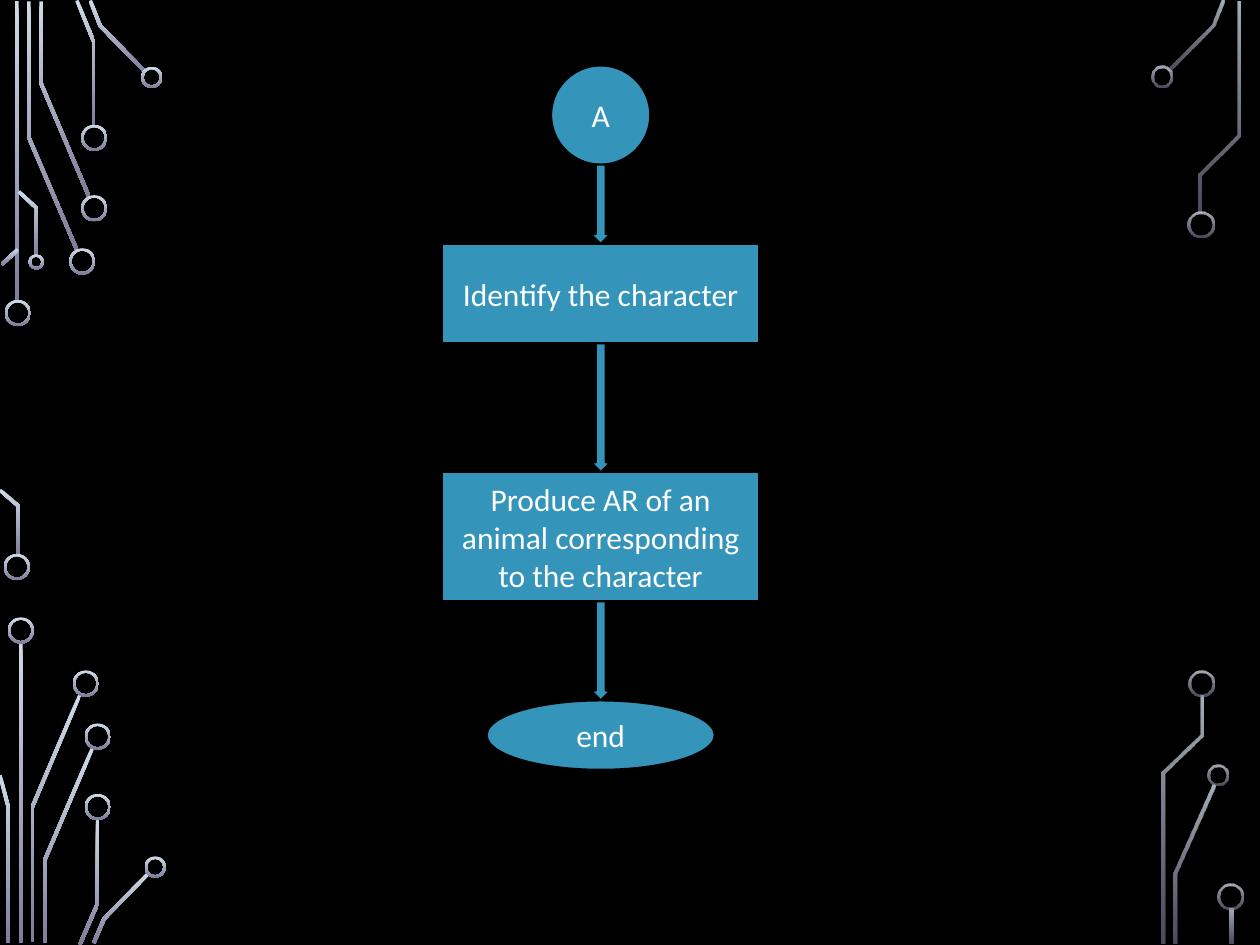
from dataclasses import dataclass
from math import hypot

from lxml.etree import SubElement
from pptx import Presentation
from pptx.dml.color import RGBColor
from pptx.enum.shapes import MSO_SHAPE
from pptx.enum.text import PP_ALIGN
from pptx.oxml.ns import qn
from pptx.util import Cm, Pt


@dataclass(frozen=True)
class Theme:
    background: RGBColor = RGBColor(0x00, 0x00, 0x00)
    accent: RGBColor = RGBColor(0x34, 0x94, 0xBA)
    text: RGBColor = RGBColor(0xFF, 0xFF, 0xFF)
    circuit: tuple = (RGBColor(0xCE, 0xDB, 0xE6), RGBColor(0x7F, 0x7B, 0x9A))
    font: str = "Calibri"
    text_size: Pt = Pt(18)
    outline: Pt = Pt(1.25)


theme = Theme()
TRACE_WIDTH = 0.07
RING_WIDTH = 0.05
LARGE, MEDIUM, SMALL = 0.53, 0.43, 0.31


def paint_circuit(shape, opacities):
    shape.shadow.inherit = False
    shape.line.fill.background()
    shape.fill.gradient()
    shape.fill.gradient_angle = 270
    for stop, color in zip(shape.fill.gradient_stops, theme.circuit):
        stop.color.rgb = color
    for color, opacity in zip(shape._element.spPr.iter(qn("a:srgbClr")), opacities):
        if opacity < 100:
            SubElement(color, qn("a:alpha"), val=str(opacity * 1000))


def trace_outline(points, width):
    normals = []
    for (x1, y1), (x2, y2) in zip(points, points[1:]):
        length = hypot(x2 - x1, y2 - y1)
        normals.append(((y1 - y2) / length, (x2 - x1) / length))
    left, right = [], []
    for (x, y), (ax, ay), (bx, by) in zip(points, normals[:1] + normals, normals + normals[-1:]):
        factor = width / 2 / (1 + ax * bx + ay * by)
        dx, dy = (ax + bx) * factor, (ay + by) * factor
        left.append((x + dx, y + dy))
        right.append((x - dx, y - dy))
    return [(x * 1000, y * 1000) for x, y in left + right[::-1]]


left_traces = [
    [(0.34, 0.03), (0.34, 6.1)],
    [(0.58, 0.03), (0.58, 2.77), (1.55, 5.04)],
    [(0.83, 0.03), (0.83, 1.69), (1.8, 3.98)],
    [(1.55, 0.01), (1.89, 0.84), (1.89, 2.54)],
    [(1.82, 0.01), (2.02, 0.52), (2.93, 1.45)],
    [(0.04, 5.33), (0.36, 5.03)],
    [(0, 9.88), (0.36, 10.19), (0.36, 11.2)],
    [(0.38, 3.86), (0.74, 4.2), (0.74, 5.16)],
    [(0.42, 12.95), (0.42, 19.02)],
    [(0.65, 19), (0.65, 16.27), (1.61, 14.01)],
    [(0.17, 19), (0.17, 16.28), (0, 15.63)],
    [(0.9, 19.02), (0.9, 17.34), (1.87, 15.07)],
    [(1.61, 19.04), (1.97, 18.21), (1.97, 16.51)],
    [(1.89, 19.01), (2.1, 18.52), (3, 17.6)],
]
left_rings = [
    (0.36, 6.31, LARGE), (0.34, 11.43, LARGE), (1.66, 5.27, LARGE),
    (1.9, 4.2, LARGE), (1.9, 2.78, LARGE), (3.06, 1.56, MEDIUM),
    (0.73, 5.28, SMALL), (0.42, 12.71, LARGE), (1.73, 13.78, LARGE),
    (1.97, 14.85, LARGE), (1.97, 16.27, LARGE), (3.13, 17.48, MEDIUM),
]
right_traces = [
    [(23.56, 1.41), (24.46, 0.51), (24.66, 0.01)],
    [(23.7, 19.02), (23.7, 17.61), (24.46, 15.84)],
    [(24.19, 4.29), (24.19, 3.52), (24.98, 2.73), (24.98, 0.03)],
    [(23.46, 19.02), (23.46, 15.58), (24.22, 14.82), (24.22, 14.02)],
    [(24.83, 18.31), (24.83, 19.02)],
]
right_rings = [
    (23.42, 1.54, MEDIUM), (24.21, 4.53, LARGE), (24.55, 15.63, MEDIUM),
    (24.22, 13.78, LARGE), (24.81, 18.08, LARGE),
]

presentation = Presentation()
presentation.slide_width = Cm(25.4)
presentation.slide_height = Cm(19.05)
slide = presentation.slides.add_slide(presentation.slide_layouts[6])
slide.background.fill.solid()
slide.background.fill.fore_color.rgb = theme.background

for traces, rings, opacities in (
    (left_traces, left_rings, (100, 100)),
    (right_traces, right_rings, (80, 60)),
):
    for points in traces:
        outline = trace_outline(points, TRACE_WIDTH)
        builder = slide.shapes.build_freeform(*outline[0], scale=Cm(0.001))
        builder.add_line_segments(outline[1:], close=True)
        paint_circuit(builder.convert_to_shape(), opacities)
    for x, y, diameter in rings:
        ring = slide.shapes.add_shape(
            MSO_SHAPE.DONUT, Cm(x - diameter / 2), Cm(y - diameter / 2), Cm(diameter), Cm(diameter)
        )
        ring.adjustments[0] = RING_WIDTH / diameter
        paint_circuit(ring, opacities)

FLOW_CENTER = 12.11
flow_steps = [
    (MSO_SHAPE.FLOWCHART_CONNECTOR, 1.32, 2, 2, "A"),
    (MSO_SHAPE.DOWN_ARROW, 3.32, 0.4, 1.6, ""),
    (MSO_SHAPE.FLOWCHART_PROCESS, 4.92, 6.4, 2, "Identify the character"),
    (MSO_SHAPE.DOWN_ARROW, 6.92, 0.4, 2.6, ""),
    (MSO_SHAPE.FLOWCHART_PROCESS, 9.52, 6.4, 2.6,
     "Produce AR of an animal corresponding to the character"),
    (MSO_SHAPE.DOWN_ARROW, 12.12, 0.4, 2, ""),
    (MSO_SHAPE.OVAL, 14.12, 4.6, 1.4, "end"),
]
for kind, top, width, height, text in flow_steps:
    step = slide.shapes.add_shape(kind, Cm(FLOW_CENTER - width / 2), Cm(top), Cm(width), Cm(height))
    step.shadow.inherit = False
    step.fill.solid()
    step.fill.fore_color.rgb = theme.accent
    step.line.color.rgb = theme.background
    step.line.width = theme.outline
    if text:
        step.text_frame.text = text
        step.text_frame.word_wrap = True
        paragraph = step.text_frame.paragraphs[0]
        paragraph.alignment = PP_ALIGN.CENTER
        font = paragraph.runs[0].font
        font.name = theme.font
        font.size = theme.text_size
        font.color.rgb = theme.text

presentation.save("out.pptx")
